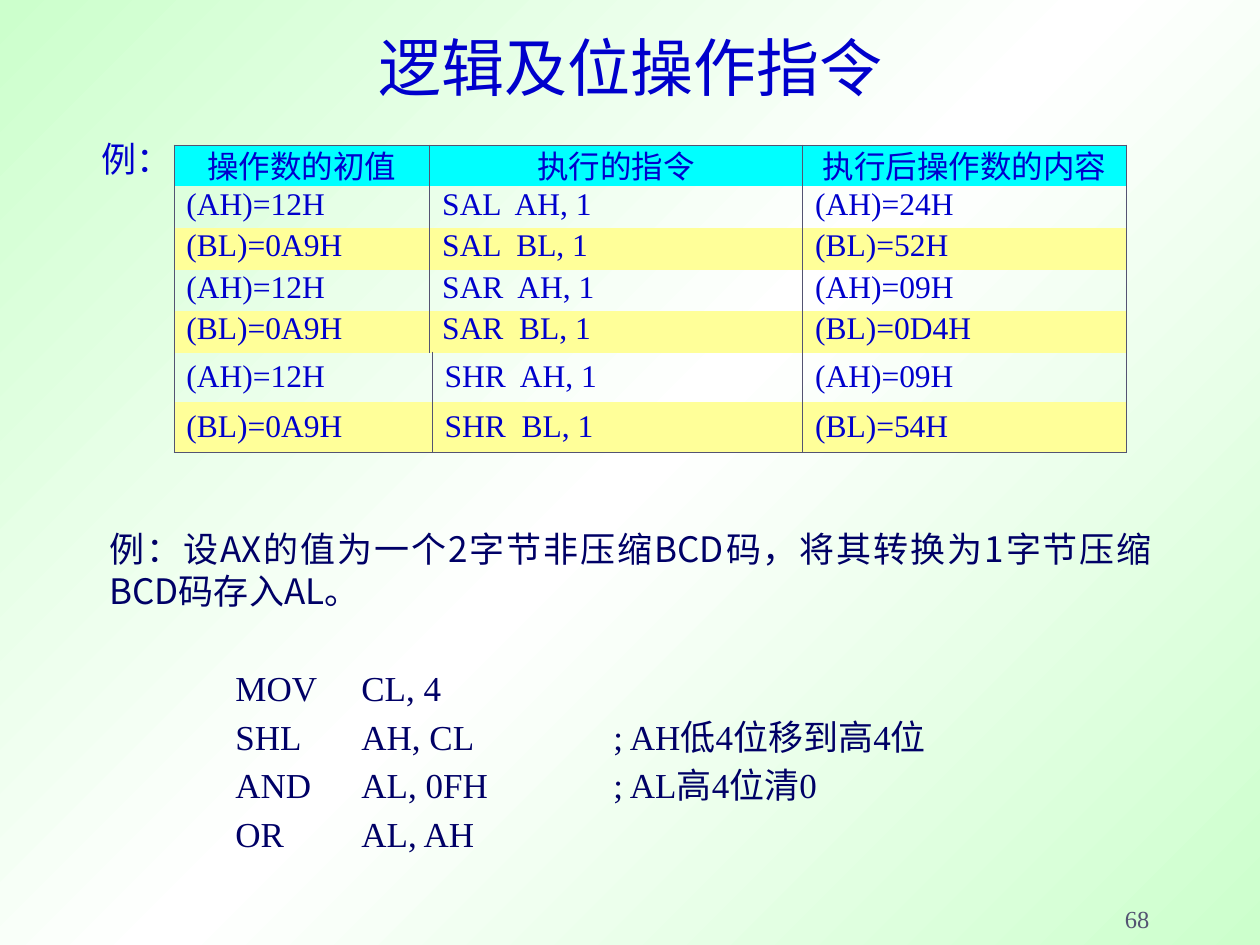
from copy import deepcopy

from lxml.etree import SubElement
from pptx import Presentation
from pptx.dml.color import RGBColor
from pptx.enum.text import MSO_ANCHOR, MSO_AUTO_SIZE, PP_ALIGN
from pptx.oxml.ns import qn
from pptx.util import Inches, Pt

SERIF, SANS, CJK = "Times New Roman", "Roboto", "Noto Sans CJK SC"
BLUE, NAVY, GREY = "0000CC", "000066", "545472"
CYAN, YELLOW, GREEN, WHITE = "00FFFF", "FFFF99", "CCFFCC", "FFFFFF"
NO_STYLE = "{2D5ABB26-0587-4C30-8999-92F81FD0307C}"

TITLE = "逻辑及位操作指令"
HEADER = ("操作数的初值", "执行的指令", "执行后操作数的内容")
SHIFTS = [
    ("(AH)=12H", "SAL  AH, 1", "(AH)=24H"),
    ("(BL)=0A9H", "SAL  BL, 1", "(BL)=52H"),
    ("(AH)=12H", "SAR  AH, 1", "(AH)=09H"),
    ("(BL)=0A9H", "SAR  BL, 1", "(BL)=0D4H"),
]
LOGICAL_SHIFTS = [
    ("(AH)=12H", "SHR  AH, 1", "(AH)=09H"),
    ("(BL)=0A9H", "SHR  BL, 1", "(BL)=54H"),
]
TASK = "例：设AX的值为一个2字节非压缩BCD码，将其转换为1字节压缩BCD码存入AL。"
CODE = [
    ("MOV", "CL, 4"),
    ("SHL", "AH, CL", "; AH低4位移到高4位"),
    ("AND", "AL, 0FH", "; AL高4位清0"),
    ("OR", "AL, AH"),
]
CODE_TABS = (1, 2, 4)
LINE, GAP = 24, 3.7  # points
TABLE_LEFT, TABLE_TOP, SPLIT_TOP = 1.38, 1.15, 2.79


def rgb(color):
    return RGBColor.from_string(color)


def write(p, text, size=20, font=SERIF, color=BLUE, align=PP_ALIGN.LEFT,
          spacing=None, before=0, tabs=()):
    if tabs:
        tab_list = SubElement(p._p.get_or_add_pPr(), qn("a:tabLst"))
        for pos in tabs:
            SubElement(tab_list, qn("a:tab"), pos=str(Inches(pos)), algn="l")
    p.alignment, p.space_before = align, Pt(before)
    if spacing:
        p.line_spacing = spacing
    r = p.add_run()
    r.text = text
    r.font.size, r.font.name = Pt(size), font
    r.font.color.rgb = rgb(color)
    SubElement(r._r.get_or_add_rPr(), qn("a:ea"), typeface=CJK)


def add_box(s, x, y, w, h, anchor=MSO_ANCHOR.TOP, wrap=True):
    tf = s.shapes.add_textbox(*map(Inches, (x, y, w, h))).text_frame
    tf.word_wrap, tf.vertical_anchor = wrap, anchor
    return tf


def add_borders(cell, sides):
    """Draw the sides given as letters, in the order L, R, T, B."""
    tc_pr = cell._tc.get_or_add_tcPr()
    for side in sides:
        ln = SubElement(tc_pr, qn(f"a:ln{side}"), w=str(Pt(0.45)))
        fill = SubElement(ln, qn("a:solidFill"))
        SubElement(fill, qn("a:srgbClr"), val=GREY)


def add_operand_table(s, y, widths, row_h, rows, header=None, spacing=None):
    """Add one part of the table; the part without a header closes it."""
    lines = ([header] if header else []) + rows
    frame = s.shapes.add_table(
        len(lines), len(widths), Inches(TABLE_LEFT), Inches(y),
        Inches(sum(widths)), Inches(row_h * len(lines)))
    table = frame.table
    table._tbl.tblPr.find(qn("a:tableStyleId")).text = NO_STYLE
    table.first_row = bool(header)
    table.horz_banding = False
    for col, width in zip(table.columns, widths):
        col.width = Inches(width)
    for i, line in enumerate(lines):
        is_header = line is header
        is_last = not header and i == len(lines) - 1
        shaded = line[0].startswith("(BL)")
        for j, text in enumerate(line):
            cell = table.cell(i, j)
            cell.vertical_anchor = MSO_ANCHOR.MIDDLE
            add_borders(cell, "LR" + "T" * is_header + "B" * is_last)
            if is_header or shaded:
                cell.fill.solid()
                cell.fill.fore_color.rgb = rgb(CYAN if is_header else YELLOW)
            else:
                cell.fill.background()
            write(cell.text_frame.paragraphs[0], text, size=18, spacing=spacing,
                  align=PP_ALIGN.CENTER if is_header else PP_ALIGN.LEFT)


def set_background(s):
    fill = s.background.fill
    fill.gradient()
    fill.gradient_angle = 315
    stops = s.element.find(".//" + qn("a:gsLst"))
    stops.insert(1, deepcopy(stops[0]))
    for stop, pos, color in zip(fill.gradient_stops, (0, 0.5, 1),
                                (GREEN, WHITE, GREEN)):
        stop.position, stop.color.rgb = pos, rgb(color)


def set_title(s):
    title = s.shapes.title
    title.left, title.top, title.width, title.height = map(
        Inches, (0.75, 0.28, 8.5, 0.55))
    tf = title.text_frame
    tf.auto_size, tf.vertical_anchor = MSO_AUTO_SIZE.NONE, MSO_ANCHOR.BOTTOM
    tf.margin_left = tf.margin_right = tf.margin_top = tf.margin_bottom = 0
    write(tf.paragraphs[0], TITLE, size=36, font=SANS, align=PP_ALIGN.CENTER)


def add_bcd_example(s):
    tf = add_box(s, 0.77, 4.14, 8.47, 2.7)
    write(tf.paragraphs[0], TASK, font=CJK, color=NAVY,
          align=PP_ALIGN.JUSTIFY, spacing=Pt(LINE))
    for i, parts in enumerate(CODE):
        write(tf.add_paragraph(), "\t" + "\t".join(parts), color=NAVY,
              spacing=Pt(LINE), tabs=CODE_TABS,
              before=GAP if i else LINE + 2 * GAP)


def main():
    prs = Presentation()
    prs.slide_width, prs.slide_height = Inches(10), Inches(7.5)
    s = prs.slides.add_slide(prs.slide_layouts[5])
    set_background(s)
    set_title(s)
    number = add_box(s, 7.14, 6.96, 2.08, 0.5, MSO_ANCHOR.BOTTOM)
    write(number.paragraphs[0], "68", size=14, color=GREY, align=PP_ALIGN.RIGHT)
    add_operand_table(s, TABLE_TOP, (2.03, 2.96, 2.57), 0.33, SHIFTS,
                      header=HEADER, spacing=0.75)
    add_bcd_example(s)
    label = add_box(s, 0.71, 1.04, 0.82, 0.44, MSO_ANCHOR.MIDDLE, wrap=False)
    write(label.paragraphs[0], "例：", font=CJK)
    add_operand_table(s, SPLIT_TOP, (2.05, 2.94, 2.57), 0.4, LOGICAL_SHIFTS)
    prs.save("out.pptx")


if __name__ == "__main__":
    main()
